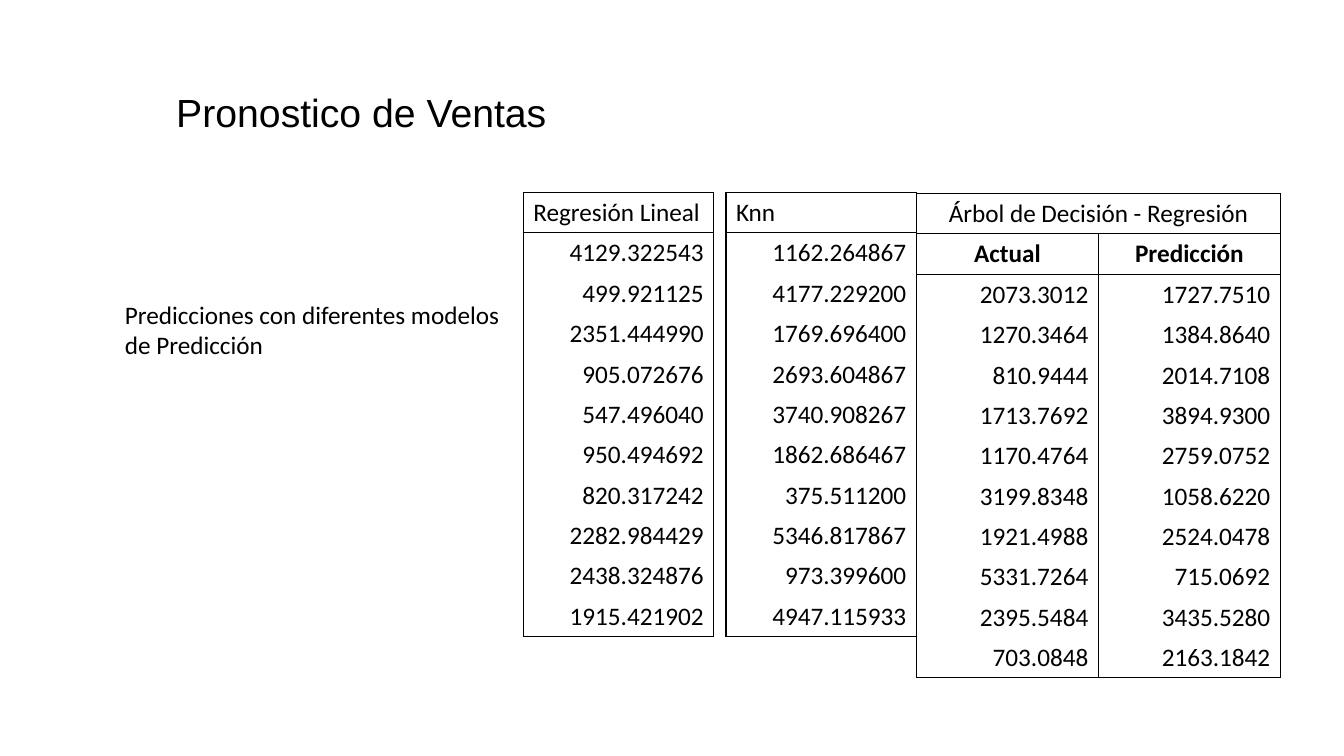
from lxml import etree
from pptx import Presentation
from pptx import util as u
from pptx.dml.color import RGBColor
from pptx.enum import text as t
from pptx.oxml import ns

THEME = {
    "ink": RGBColor.from_string("000000"),
    "paper": RGBColor.from_string("FFFFFF"),
    "head": ("Arial", 28),
    "body": ("Calibri", 18),
    "rule": 1,
}
TITLE = "Pronostico de Ventas"
NOTE = "Predicciones con diferentes modelos de Predicción"
LINEAR = ["4129.322543", "499.921125", "2351.444990", "905.072676", "547.496040",
          "950.494692", "820.317242", "2282.984429", "2438.324876", "1915.421902"]
KNN = ["1162.264867", "4177.229200", "1769.696400", "2693.604867", "3740.908267",
       "1862.686467", "375.511200", "5346.817867", "973.399600", "4947.115933"]
ACTUAL = ["2073.3012", "1270.3464", "810.9444", "1713.7692", "1170.4764",
          "3199.8348", "1921.4988", "5331.7264", "2395.5484", "703.0848"]
GUESS = ["1727.7510", "1384.8640", "2014.7108", "3894.9300", "2759.0752",
         "1058.6220", "2524.0478", "715.0692", "3435.5280", "2163.1842"]
ROW = 0.4
LEFT, MID, RIGHT = t.PP_ALIGN.LEFT, t.PP_ALIGN.CENTER, t.PP_ALIGN.RIGHT
TABLES = [
    {"at": (5.19, 1.91), "wide": 1.89, "heads": [["Regresión Lineal"]],
     "cols": [LINEAR], "align": LEFT},
    {"at": (7.2, 1.91), "wide": 1.89, "heads": [["Knn"]],
     "cols": [KNN], "align": LEFT},
    {"at": (9.09, 1.92), "wide": 1.805,
     "heads": [["Árbol de Decisión - Regresión", ""], ["Actual", "Predicción"]],
     "cols": [ACTUAL, GUESS], "align": MID},
]


def style(par, kind, align=LEFT, bold=False):
    par.alignment = align
    for run in par.runs:
        font = run.font
        font.name, size = THEME[kind]
        font.size = u.Pt(size)
        font.bold = bold
        font.color.rgb = THEME["ink"]


def label(slide, box, words, kind):
    shape = slide.shapes.add_textbox(*map(u.Inches, box))
    frame = shape.text_frame
    frame.word_wrap = True
    frame.text = words
    style(frame.paragraphs[0], kind)
    return frame


def border(cell, sides):
    props = cell._tc.get_or_add_tcPr()
    for side in "LRTB":
        line = etree.SubElement(props, ns.qn(f"a:ln{side}"), w=str(u.Pt(THEME["rule"])))
        if side in sides:
            fill = etree.SubElement(line, ns.qn("a:solidFill"))
            etree.SubElement(fill, ns.qn("a:srgbClr"), val=str(THEME["ink"]))
        else:
            etree.SubElement(line, ns.qn("a:noFill"))


def grid(slide, item):
    heads = item["heads"]
    rows = heads + [list(row) for row in zip(*item["cols"])]
    count, top = len(item["cols"]), len(heads)
    size = (item["wide"] * count, ROW * len(rows))
    table = slide.shapes.add_table(
        len(rows), count, *map(u.Inches, item["at"] + size)).table
    table.first_row = table.horz_banding = False
    for col in table.columns:
        col.width = u.Inches(item["wide"])
    for r, row in enumerate(rows):
        table.rows[r].height = u.Inches(ROW)
        for c, words in enumerate(row):
            cell = table.cell(r, c)
            cell.text = words
            cell.vertical_anchor = t.MSO_ANCHOR.MIDDLE
            style(cell.text_frame.paragraphs[0], "body",
                  item["align"] if r < top else RIGHT, 0 < r < top)
            sides = "LR"
            if r <= top:
                sides += "T"
            if r < top or r == len(rows) - 1:
                sides += "B"
            border(cell, sides)
            cell.fill.solid()
            cell.fill.fore_color.rgb = THEME["paper"]
    if count > 1:
        table.cell(0, 0).merge(table.cell(0, count - 1))


def main():
    deck = Presentation()
    deck.slide_width, deck.slide_height = u.Inches(13.33), u.Inches(7.5)
    slide = deck.slides.add_slide(deck.slide_layouts[6])
    title = label(slide, (1.65, 0.39, 12.3, 1.46), TITLE, "head")
    title.vertical_anchor = t.MSO_ANCHOR.BOTTOM
    title.margin_bottom = u.Inches(0.5)
    title.paragraphs[0].line_spacing = 0.9
    label(slide, (1.14, 2.92, 4.05, 0.71), NOTE, "body")
    for item in TABLES:
        grid(slide, item)
    deck.save("out.pptx")


if __name__ == "__main__":
    main()
